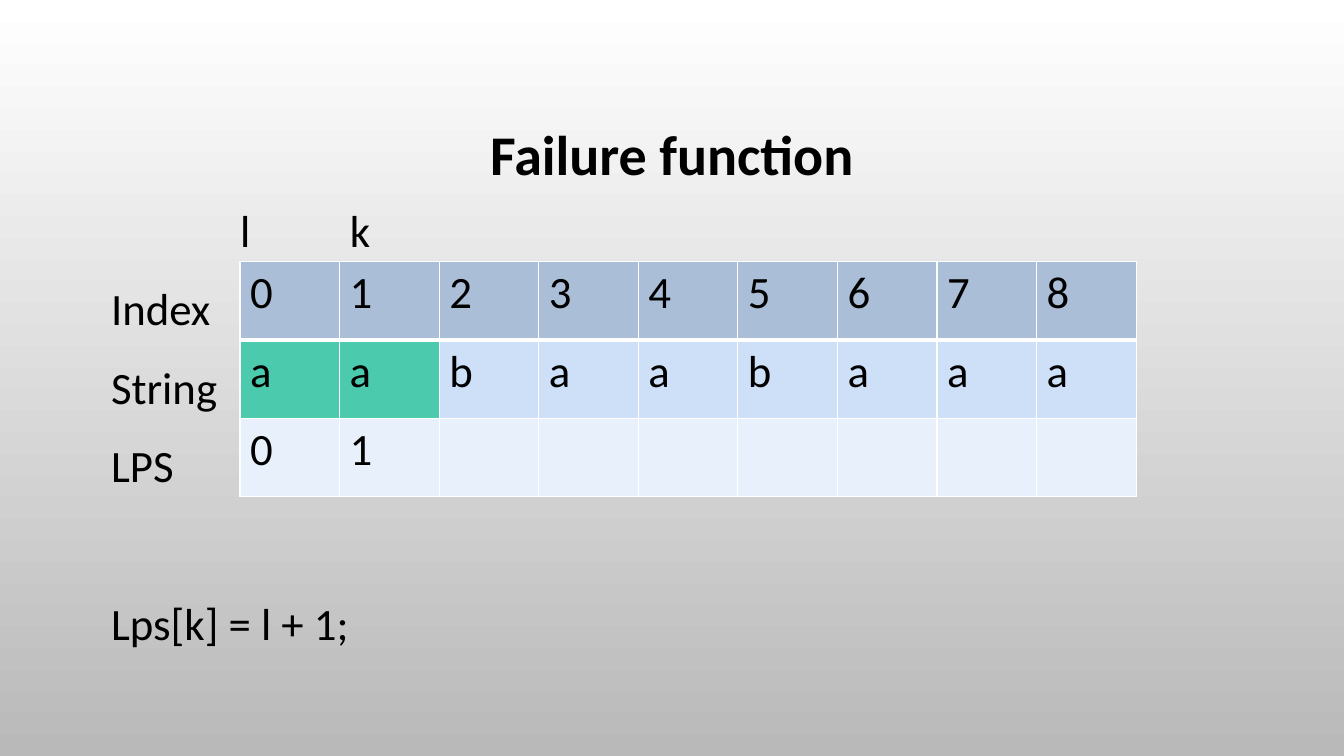
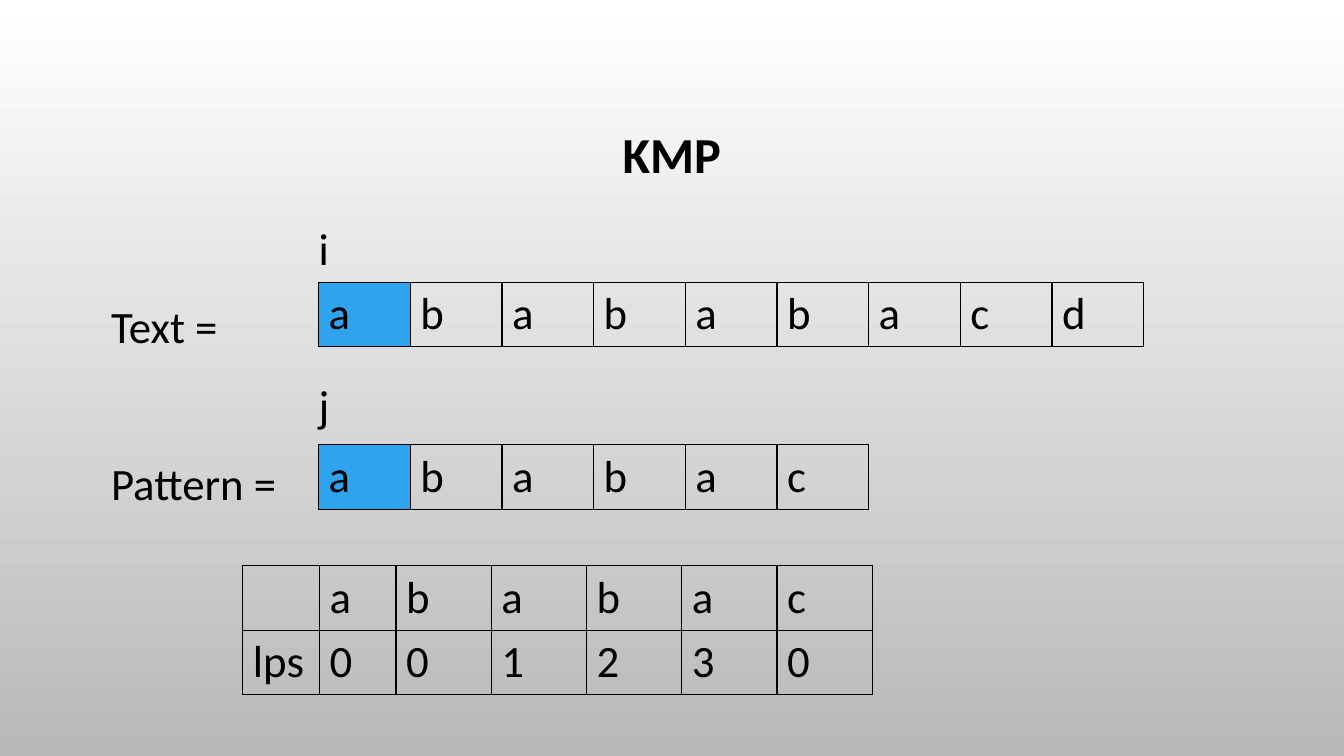
from lxml import etree
from pptx import Presentation
from pptx.dml.color import RGBColor
from pptx.enum.text import MSO_ANCHOR, PP_ALIGN
from pptx.oxml.ns import qn
from pptx.util import Cm, Pt

CENTER = PP_ALIGN.CENTER
MIDDLE = MSO_ANCHOR.MIDDLE
TITLE_ONLY = 5

COLORS = {
    "text": "000000",
    "top": "FFFFFF",
    "bottom": "B9B9B9",
    "white": "FFFFFF",
    "black": "000000",
    "index": "AABED7",
    "string": "CDE0F8",
    "lps": "E8F0FC",
    "prefix": "4BCAAD",
    "current": "2FA3EE",
}
BODY = {"name": "Calibri", "size": Pt(32), "bold": False}
TITLE_BOX = (2.54, 1.73, 28.78, 4.45)
LABEL_LEFT = 2.8
LINE_PITCH = 1.98
LINE_HEIGHT = 1.38
ROW_HEIGHT = 1.63


def rgb(key):
    return RGBColor.from_string(COLORS[key])


def write(p, text, **changes):
    r = p.add_run()
    r.text = text
    for name, value in {**BODY, **changes}.items():
        setattr(r.font, name, value)
    r.font.color.rgb = rgb("text")


def set_background(master):
    fill = master.background.fill
    fill.gradient()
    fill.gradient_angle = 270
    for stop, key in zip(fill.gradient_stops, ("top", "bottom")):
        stop.color.rgb = rgb(key)


def add_titled_slide(prs, title, size):
    slide = prs.slides.add_slide(prs.slide_layouts[TITLE_ONLY])
    sp = slide.shapes.title
    for name, value in zip(("left", "top", "width", "height"), TITLE_BOX):
        setattr(sp, name, Cm(value))
    tf = sp.text_frame
    tf.vertical_anchor = MIDDLE
    p = tf.paragraphs[0]
    p.alignment = CENTER
    p.line_spacing = 0.9
    write(p, title, size=Pt(size), bold=True)
    return slide


def add_labels(slide, top, labels):
    """Place (line, left, text) labels on lines of equal pitch below top."""
    for line, left, text in labels:
        sp = slide.shapes.add_textbox(
            Cm(left), Cm(top + line * LINE_PITCH), Cm(8), Cm(LINE_HEIGHT))
        tf = sp.text_frame
        tf.word_wrap = True
        for side in ("left", "top", "right", "bottom"):
            setattr(tf, f"margin_{side}", 0)
        write(tf.paragraphs[0], text)


def set_borders(cell, color, widths):
    """Draw the left, right, top and bottom borders, widths in points."""
    tc_pr = cell._tc.get_or_add_tcPr()
    for i, (side, width) in enumerate(zip("LRTB", widths)):
        ln = etree.Element(qn(f"a:ln{side}"), w=str(Pt(width)))
        solid = etree.SubElement(ln, qn("a:solidFill"))
        etree.SubElement(solid, qn("a:srgbClr"), val=COLORS[color])
        tc_pr.insert(i, ln)


def add_array(slide, left, top, rows, widths, row_height=ROW_HEIGHT,
              border="black", row_fills=(None, None), marked=None,
              head_rule=1):
    """Draw an array; marked maps (row, column) to a highlight colour."""
    marked = marked or {}
    table = slide.shapes.add_table(
        len(rows), len(widths), Cm(left), Cm(top),
        Cm(sum(widths)), Cm(row_height * len(rows))).table
    table.first_row = table.horz_banding = False
    for column, width in zip(table.columns, widths):
        column.width = Cm(width)
    for i, values in enumerate(rows):
        table.rows[i].height = Cm(row_height)
        for j in range(len(widths)):
            cell = table.cell(i, j)
            color = marked.get((i, j), row_fills[i])
            if color:
                cell.fill.solid()
                cell.fill.fore_color.rgb = rgb(color)
            else:
                cell.fill.background()
            set_borders(cell, border, (1, 1, head_rule if i == 1 else 1,
                                       head_rule if i == 0 else 1))
            if j < len(values) and values[j]:
                write(cell.text_frame.paragraphs[0], values[j])


def build_failure_function(prs):
    slide = add_titled_slide(prs, "Failure function", 40)
    left, cell_width = 6.05, 2.51
    add_labels(slide, 5.1, [
        (0, left, "l"),
        (0, 8.82, "k"),
        (1, LABEL_LEFT, "Index"),
        (2, LABEL_LEFT, "String"),
        (3, LABEL_LEFT, "LPS"),
        (5, LABEL_LEFT, "Lps[k] = l + 1;"),
    ])
    add_array(slide, left, 6.58, ["012345678", "aabaabaaa", "01"],
              [cell_width] * 9, row_height=LINE_PITCH, border="white",
              row_fills=("index", "string", "lps"),
              marked={(1, 0): "prefix", (1, 1): "prefix"}, head_rule=3)


def build_kmp(prs):
    slide = add_titled_slide(prs, "KMP", 36)
    left, cell_width = 8.03, 2.31
    add_labels(slide, 5.55, [
        (0, left, "i"),
        (1, LABEL_LEFT, "Text ="),
        (2, left, "j"),
        (3, LABEL_LEFT, "Pattern ="),
    ])
    pattern = "ababac"
    for top, word in ((7.11, "abababacd"), (11.2, pattern)):
        add_array(slide, left, top, [word], [cell_width] * len(word),
                  marked={(0, 0): "current"})
    add_array(slide, 6.12, 14.25, [["", *pattern], ["lps", *"001230"]],
              [1.93] * 2 + [2.4] * 5)


def main():
    prs = Presentation()
    prs.slide_width, prs.slide_height = Cm(33.87), Cm(19.05)
    set_background(prs.slide_master)
    build_failure_function(prs)
    build_kmp(prs)
    prs.save("out.pptx")


if __name__ == "__main__":
    main()
